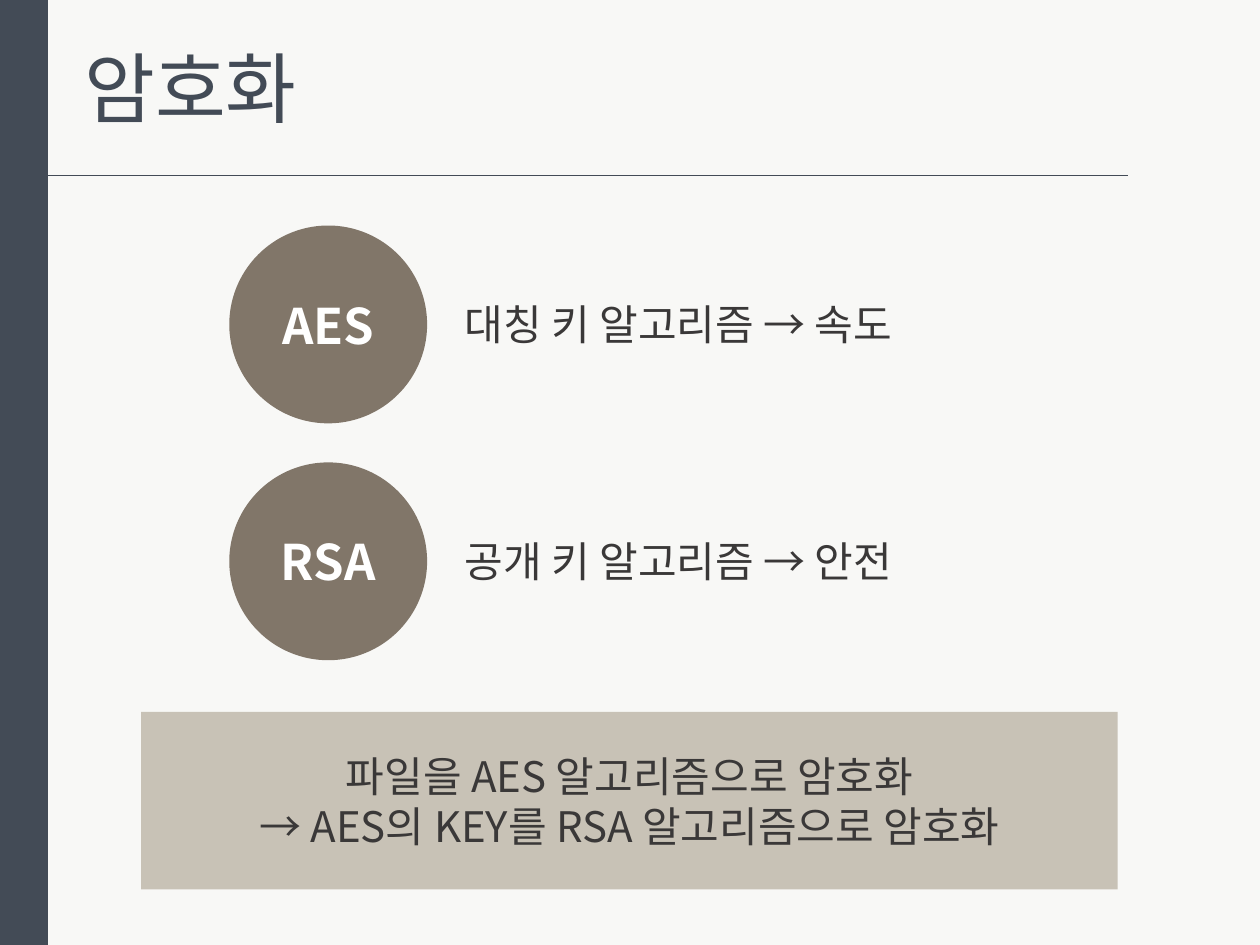
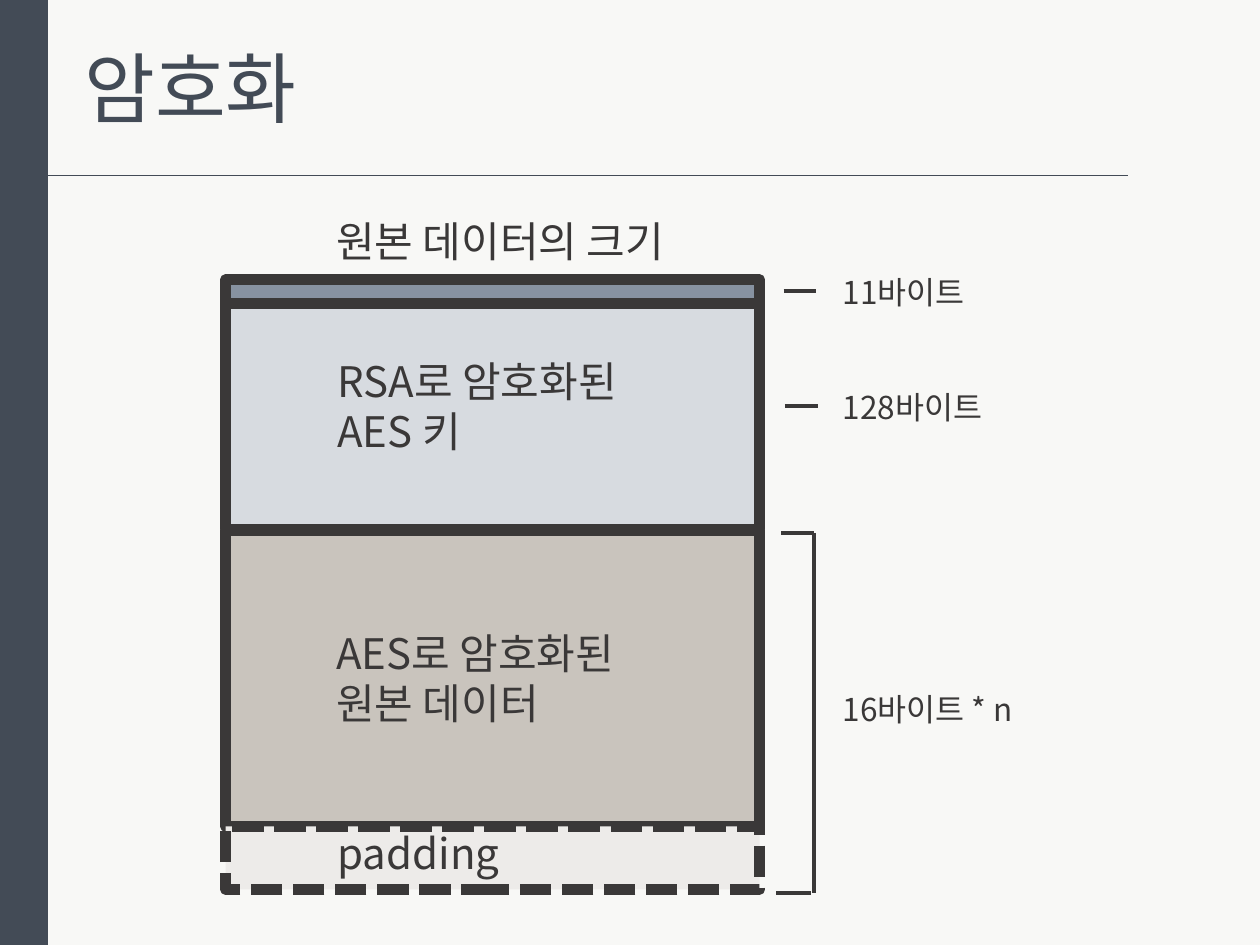
from dataclasses import dataclass

from lxml.etree import SubElement
from pptx import Presentation
from pptx.dml.color import RGBColor
from pptx.enum.dml import MSO_LINE
from pptx.enum.shapes import MSO_CONNECTOR, MSO_SHAPE
from pptx.enum.text import MSO_ANCHOR, MSO_AUTO_SIZE, PP_ALIGN
from pptx.oxml.ns import qn
from pptx.util import Inches, Pt

FONT = "Noto Sans CJK KR"
COLORS = {
    "background": "F8F8F6",
    "navy": "434B56",
    "text": "3A3838",
    "white": "FFFFFF",
    "brown": "817669",
    "beige": "C8C2B6",
    "header": "8792A1",
    "key": "D7DBE0",
    "data": "C9C4BD",
    "padding": "EDEBE9",
}
BAND_WIDTH = 0.38


@dataclass
class Box:
    left: float
    top: float
    width: float
    height: float

    def lengths(self) -> list:
        return [Inches(v) for v in (self.left, self.top, self.width, self.height)]


@dataclass
class TextStyle:
    size: float = 24
    color: str = "text"
    bold: bool = False
    align: PP_ALIGN = PP_ALIGN.LEFT


@dataclass
class Algorithm:
    name: str
    summary: str
    top: float


@dataclass
class Block:
    top: float
    height: float
    color: str
    dashed: bool = False


@dataclass
class Label:
    lines: list[str]
    box: Box
    size: float = 24


ALGORITHMS = [
    Algorithm("AES", "대칭 키 알고리즘 → 속도", 1.79),
    Algorithm("RSA", "공개 키 알고리즘 → 안전", 3.67),
]
BLOCKS = [
    Block(4.21, 2.35, "data"),
    Block(2.22, 0.22, "header"),
    Block(2.41, 1.79, "key"),
    Block(6.56, 0.5, "padding", dashed=True),
]
LABELS = [
    Label(["원본 데이터의 크기"], Box(2.57, 1.66, 3.34, 0.5)),
    Label(["RSA로 암호화된 AES 키"], Box(2.58, 2.77, 2.66, 0.91)),
    Label(["AES로 암호화된", "원본 데이터"], Box(2.57, 4.93, 2.69, 0.91)),
    Label(["padding"], Box(2.58, 6.52, 1.67, 0.5)),
    Label(["11바이트"], Box(6.59, 2.12, 1.34, 0.4), 18),
    Label(["128바이트"], Box(6.59, 3.03, 1.46, 0.4), 18),
    Label(["16바이트 * n"], Box(6.59, 5.43, 1.7, 0.4), 18),
]
# Each mark is x1, y1, x2, y2
SIZE_MARKS = [
    (6.2, 4.23, 6.46, 4.23),
    (6.16, 7.09, 6.44, 7.09),
    (6.46, 4.23, 6.46, 7.09),
    (6.23, 3.22, 6.49, 3.22),
    (6.22, 2.31, 6.48, 2.31),
]


def rgb(name: str) -> RGBColor:
    return RGBColor.from_string(COLORS[name])


def write(tf, lines: list[str], style: TextStyle) -> None:
    for i, line in enumerate(lines):
        p = tf.paragraphs[0] if i == 0 else tf.add_paragraph()
        p.alignment = style.align
        r = p.add_run()
        r.text = line
        r.font.name = FONT
        r.font.size = Pt(style.size)
        r.font.bold = style.bold
        r.font.color.rgb = rgb(style.color)
        SubElement(r.font._element, qn("a:ea")).set("typeface", FONT)


def add_text(s, box: Box, lines: list[str], style: TextStyle, wrap: bool = True) -> None:
    tf = s.shapes.add_textbox(*box.lengths()).text_frame
    tf.word_wrap = wrap
    tf.auto_size = MSO_AUTO_SIZE.SHAPE_TO_FIT_TEXT
    write(tf, lines, style)


def add_filled(s, kind: MSO_SHAPE, box: Box, color: str):
    """Add a preset shape with a flat fill, no outline and no shadow."""
    sp = s.shapes.add_shape(kind, *box.lengths())
    sp.shadow.inherit = False
    sp.fill.solid()
    sp.fill.fore_color.rgb = rgb(color)
    sp.line.fill.background()
    sp.text_frame.vertical_anchor = MSO_ANCHOR.MIDDLE
    return sp


def add_line(s, ends: tuple, color: str, width: float) -> None:
    line = s.shapes.add_connector(MSO_CONNECTOR.STRAIGHT, *[Inches(v) for v in ends])
    line.line.color.rgb = rgb(color)
    line.line.width = Pt(width)
    SubElement(line._element.spPr, qn("a:effectLst"))


def add_titled_slide(prs, title: str):
    s = prs.slides.add_slide(prs.slide_layouts[6])
    s.background.fill.solid()
    s.background.fill.fore_color.rgb = rgb("background")
    add_filled(s, MSO_SHAPE.RECTANGLE, Box(0, 0, BAND_WIDTH, 7.5), "navy")
    add_line(s, (BAND_WIDTH, 1.39, 8.95, 1.39), "navy", 0.5)
    add_text(s, Box(0.57, 0.27, 2.05, 0.84), [title], TextStyle(44, "navy"), wrap=False)
    return s


def build_algorithms(prs) -> None:
    s = add_titled_slide(prs, "암호화")
    name_style = TextStyle(28, "white", True, PP_ALIGN.CENTER)
    for a in ALGORITHMS:
        circle = add_filled(s, MSO_SHAPE.OVAL, Box(1.82, a.top, 1.57, 1.57), "brown")
        write(circle.text_frame, [a.name], name_style)
        add_text(s, Box(3.59, a.top + 0.53, 4.59, 0.5), [a.summary], TextStyle())
    summary = add_filled(s, MSO_SHAPE.RECTANGLE, Box(1.12, 5.65, 7.75, 1.41), "beige")
    write(
        summary.text_frame,
        ["파일을 AES 알고리즘으로 암호화", "→ AES의 KEY를 RSA 알고리즘으로 암호화"],
        TextStyle(align=PP_ALIGN.CENTER),
    )


def build_file_layout(prs) -> None:
    s = add_titled_slide(prs, "암호화")
    for b in BLOCKS:
        box = Box(1.79, b.top, 4.24, b.height)
        sp = add_filled(s, MSO_SHAPE.RECTANGLE, box, b.color)
        sp.line.color.rgb = rgb("text")
        sp.line.width = Pt(6)
        if b.dashed:
            # python-pptx names the sysDash preset SQUARE_DOT's longer sibling
            sp.line.dash_style = MSO_LINE.DASH
            sp.line._ln.find(qn("a:prstDash")).set("val", "sysDash")
    for label in LABELS:
        add_text(s, label.box, label.lines, TextStyle(label.size))
    for ends in SIZE_MARKS:
        add_line(s, ends, "text", 2.25)


def main() -> None:
    prs = Presentation()
    prs.slide_width, prs.slide_height = Inches(10), Inches(7.5)
    build_algorithms(prs)
    build_file_layout(prs)
    prs.save("out.pptx")


if __name__ == "__main__":
    main()
